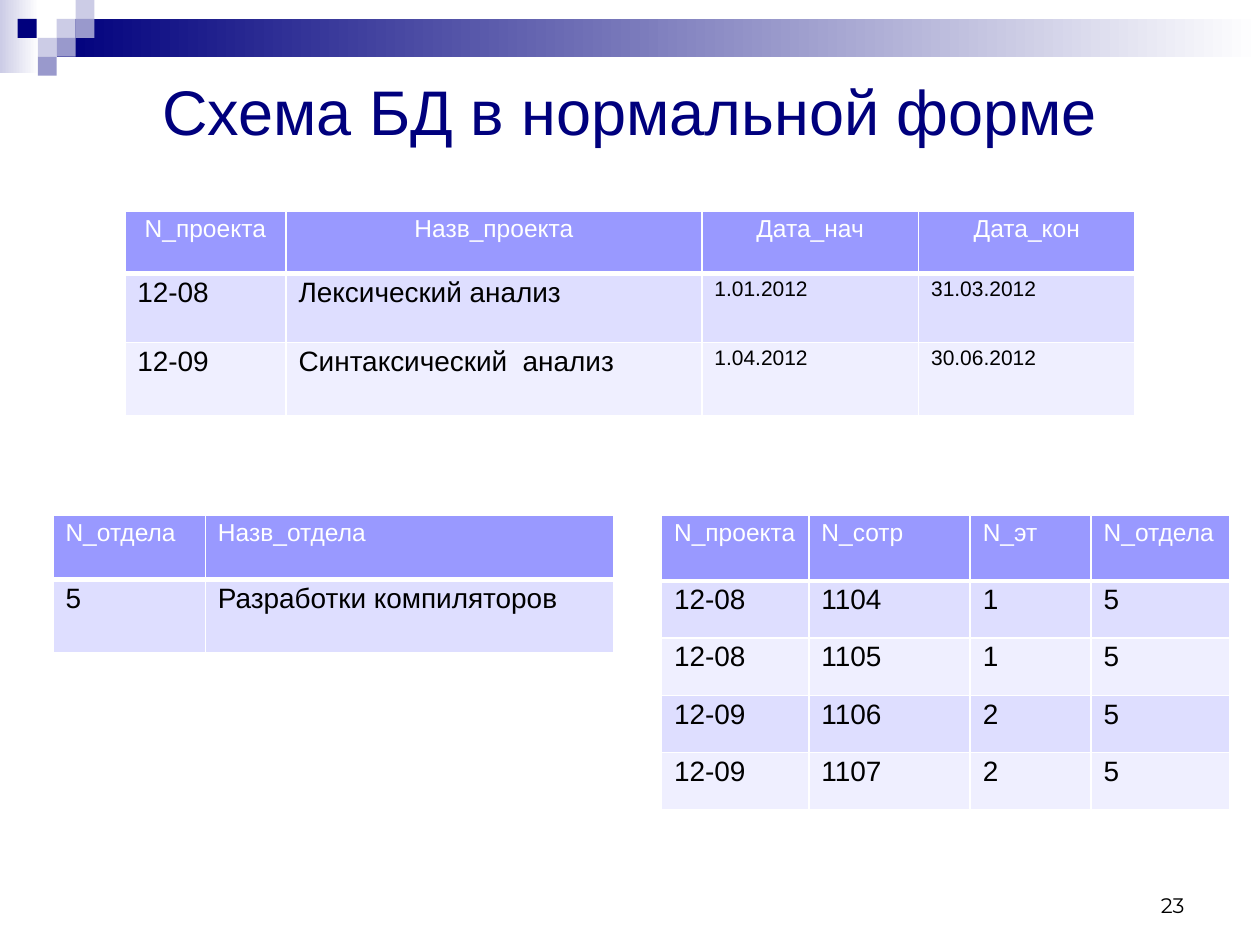
"""Build a slide that shows a normalized database schema as three tables."""
from lxml import etree
from pptx import Presentation
from pptx import util as u
from pptx.dml.color import RGBColor
from pptx.enum import shapes, text
from pptx.oxml import ns

NAVY = RGBColor(0x00, 0x00, 0x7D)
LILAC = RGBColor(0xCC, 0xCC, 0xE6)
MAUVE = RGBColor(0x99, 0x99, 0xCC)
HEADER = RGBColor(0x99, 0x99, 0xFF)
ODD_ROW = RGBColor(0xDE, 0xDE, 0xFF)
EVEN_ROW = RGBColor(0xEF, 0xEF, 0xFF)
WHITE = RGBColor(0xFF, 0xFF, 0xFF)
BLACK = RGBColor(0x00, 0x00, 0x00)


def add_block(page, left, top, width, height, color, fade=False):
    block = page.shapes.add_shape(
        shapes.MSO_SHAPE.RECTANGLE,
        u.Inches(left), u.Inches(top), u.Inches(width), u.Inches(height))
    block.shadow.inherit = False
    block.line.fill.background()
    if fade:
        block.fill.gradient()
        block.fill.gradient_angle = 0
        for stop, shade, position in zip(block.fill.gradient_stops, (color, WHITE), (0, 1)):
            stop.color.rgb = shade
            stop.position = position
    else:
        block.fill.solid()
        block.fill.fore_color.rgb = color


def set_borders(cell, bottom):
    properties = cell._tc.get_or_add_tcPr()
    for index, (side, points) in enumerate((("L", 1), ("R", 1), ("T", 1), ("B", bottom))):
        line = etree.Element(ns.qn(f"a:ln{side}"), w=str(u.Pt(points)))
        fill = etree.SubElement(line, ns.qn("a:solidFill"))
        etree.SubElement(fill, ns.qn("a:srgbClr"), val=str(WHITE))
        properties.insert(index, line)


deck = Presentation()
deck.slide_width, deck.slide_height = u.Inches(10), u.Inches(7.5)
page = deck.slides.add_slide(deck.slide_layouts[5])

add_block(page, 0, 0, 0.31, 0.58, LILAC, fade=True)
add_block(page, 0.45, 0.15, 9.55, 0.3, NAVY, fade=True)
for left, top, color in (
        (0.45, 0.15, LILAC), (0.6, 0, LILAC), (0.6, 0.15, MAUVE), (0.3, 0.3, LILAC),
        (0.14, 0.15, NAVY), (0.45, 0.3, MAUVE), (0.3, 0.45, MAUVE)):
    add_block(page, left, top, 0.15, 0.15, color)

title = page.shapes.title
title.left, title.top = u.Inches(0.5), u.Inches(0.5)
title.width, title.height = u.Inches(9), u.Inches(0.75)
title.text_frame.text = "Схема БД в нормальной форме"
title.text_frame.auto_size = text.MSO_AUTO_SIZE.NONE
title.text_frame.vertical_anchor = text.MSO_ANCHOR.MIDDLE
heading = title.text_frame.paragraphs[0]
heading.alignment = text.PP_ALIGN.CENTER
heading.font.name = "Arial"
heading.font.size = u.Pt(36)
heading.font.color.rgb = NAVY

assignments = [
    ("N_проекта", "N_сотр", "N_эт", "N_отдела"),
    ("12-08", "1104", "1", "5"),
    ("12-08", "1105", "1", "5"),
    ("12-09", "1106", "2", "5"),
    ("12-09", "1107", "2", "5"),
]
departments = [("N_отдела", "Назв_отдела"), ("5", "Разработки компиляторов")]
projects = [
    ("N_проекта", "Назв_проекта", "Дата_нач", "Дата_кон"),
    ("12-08", "Лексический анализ", "1.01.2012", "31.03.2012"),
    ("12-09", "Синтаксический  анализ", "1.04.2012", "30.06.2012"),
]
LEFT, CENTER = text.PP_ALIGN.LEFT, text.PP_ALIGN.CENTER
tables = [
    (assignments, 5.25, 4.09, (1.17, 1.28, 0.96, 1.1), (0.52,) + (0.455,) * 4, LEFT, (16,) * 4),
    (departments, 0.42, 4.09, (1.21, 3.24), (0.51, 0.58), LEFT, (16, 16)),
    (projects, 0.99, 1.68, (1.28, 3.3, 1.72, 1.72), (0.49, 0.55, 0.58), CENTER, (16, 16, 12, 12)),
]
for records, left, top, widths, heights, header_alignment, sizes in tables:
    table = page.shapes.add_table(
        len(heights), len(widths), u.Inches(left), u.Inches(top),
        u.Inches(sum(widths)), u.Inches(sum(heights))).table
    for column, width in zip(table.columns, widths):
        column.width = u.Inches(width)
    for row_index, (row, height, record) in enumerate(zip(table.rows, heights, records)):
        row.height = u.Inches(height)
        is_header = row_index == 0
        for cell, value, size in zip(row.cells, record, sizes):
            cell.text = value
            cell.fill.solid()
            cell.fill.fore_color.rgb = (
                HEADER if is_header else ODD_ROW if row_index % 2 else EVEN_ROW)
            set_borders(cell, 3 if is_header else 1)
            para = cell.text_frame.paragraphs[0]
            para.alignment = header_alignment if is_header else LEFT
            para.line_spacing = 0.9
            para.font.name = "Arial"
            para.font.bold = False
            para.font.size = u.Pt(14 if is_header else size)
            para.font.color.rgb = WHITE if is_header else BLACK

number_box = page.shapes.add_textbox(
    u.Inches(7.17), u.Inches(6.83), u.Inches(2.33), u.Inches(0.5))
number_box.text_frame.word_wrap = True
number_box.text_frame.vertical_anchor = text.MSO_ANCHOR.BOTTOM
number_box.text_frame.text = "23"
number = number_box.text_frame.paragraphs[0]
number.alignment = text.PP_ALIGN.RIGHT
number.font.name = "Montserrat"
number.font.size = u.Pt(12)
number.font.color.rgb = BLACK

deck.save("out.pptx")
